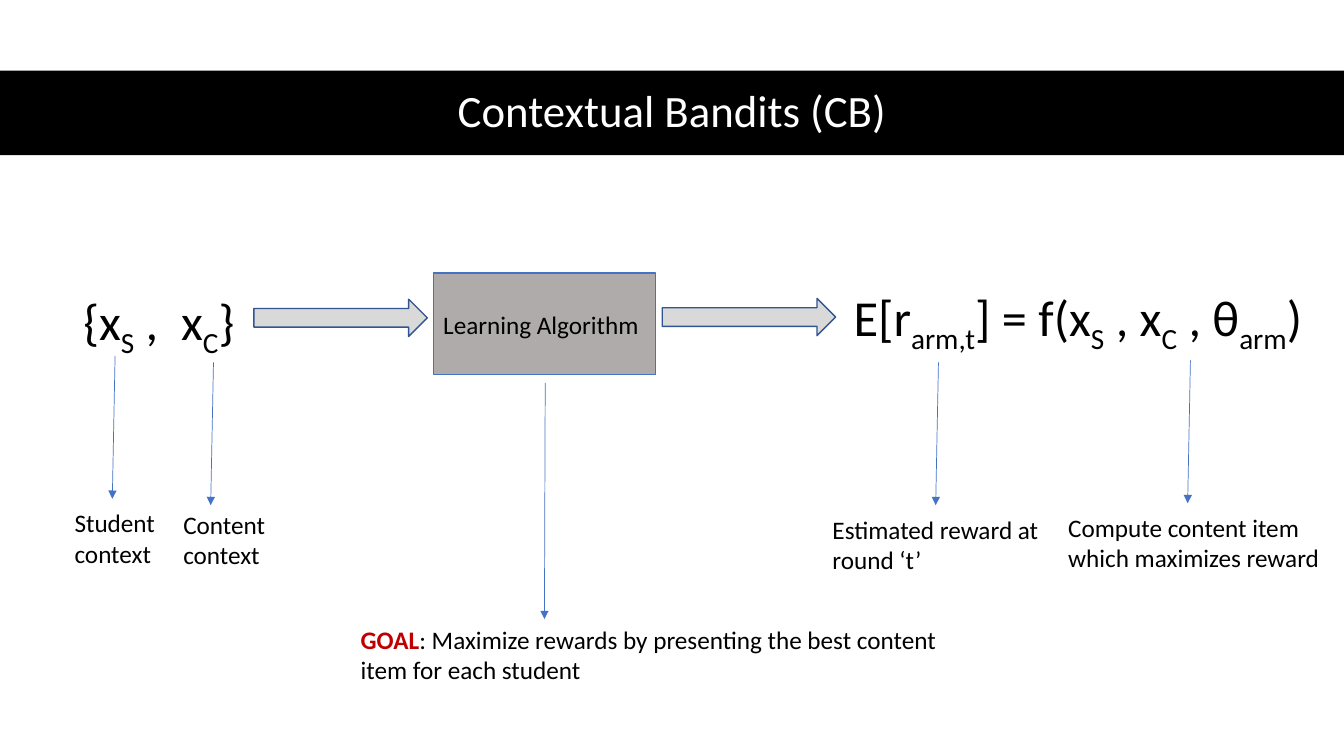
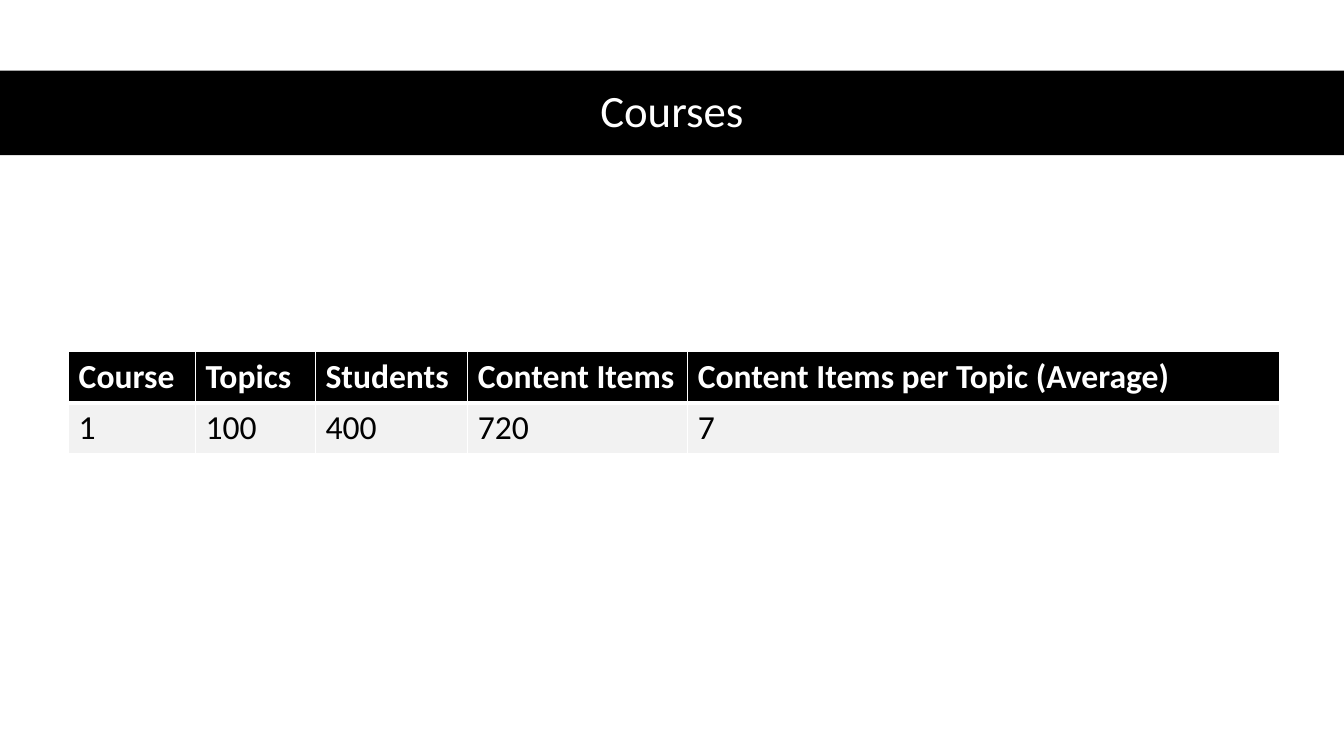
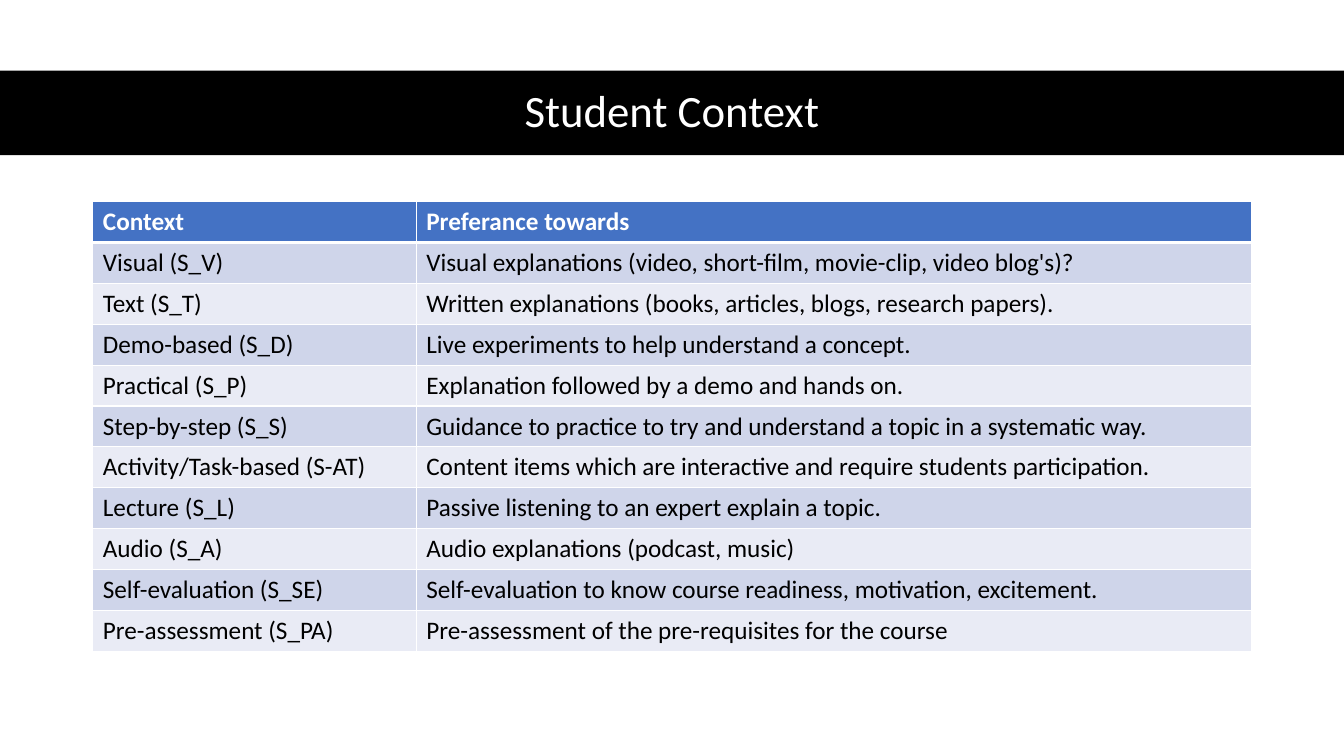
from lxml.etree import SubElement
from pptx import Presentation
from pptx.dml.color import RGBColor
from pptx.enum.shapes import MSO_CONNECTOR as Link, MSO_SHAPE as Kind
from pptx.enum.text import MSO_ANCHOR as Anchor, PP_ALIGN as Align
from pptx.oxml.ns import qn
from pptx.util import Cm, Pt

BLACK = RGBColor(0, 0, 0)
WHITE = RGBColor(255, 255, 255)
BLUE = RGBColor(0x44, 0x72, 0xC4)
NAVY = RGBColor(0x32, 0x54, 0x91)
RED = RGBColor(0xC0, 0, 0)
GREY = RGBColor(0xAF, 0xAB, 0xAB)
SILVER = RGBColor(0xD9, 0xD9, 0xD9)
PALE = RGBColor(0xF2, 0xF2, 0xF2)
BANDS = (RGBColor(0xCF, 0xD5, 0xEA), RGBColor(0xE9, 0xEB, 0xF5))
FONT = "Calibri"
WIDE, HIGH = 33.87, 19.05

COURSES = [
    ("Course", "Topics", "Students", "Content Items", "Content Items per Topic (Average)"),
    ("1", "100", "400", "720", "7"),
]
CONTEXTS = [
    ("Context", "Preferance towards"),
    ("Visual (S_V)", "Visual explanations (video, short-film, movie-clip, video blog's)?"),
    ("Text (S_T)", "Written explanations (books, articles, blogs, research papers)."),
    ("Demo-based (S_D)", "Live experiments to help understand a concept."),
    ("Practical (S_P)", "Explanation followed by a demo and hands on."),
    ("Step-by-step (S_S)", "Guidance to practice to try and understand a topic in a systematic way."),
    ("Activity/Task-based (S-AT)", "Content items which are interactive and require students participation."),
    ("Lecture (S_L)", "Passive listening to an expert explain a topic."),
    ("Audio (S_A)", "Audio explanations (podcast, music)"),
    ("Self-evaluation (S_SE)", "Self-evaluation to know course readiness, motivation, excitement."),
    ("Pre-assessment (S_PA)", "Pre-assessment of the pre-requisites for the course"),
]


def style(para, size, color=BLACK, bold=False):
    """Set the font of a paragraph."""
    font = para.font
    font.name, font.size, font.bold = FONT, Pt(size), bold
    font.color.rgb = color


def block(slide, kind, box, fill, line=None, weight=1):
    """Draw a filled preset shape."""
    shape = slide.shapes.add_shape(kind, *map(Cm, box))
    shape.shadow.inherit = False
    shape.fill.solid()
    shape.fill.fore_color.rgb = fill
    if line is None:
        shape.line.fill.background()
    else:
        shape.line.color.rgb = line
        shape.line.width = Pt(weight)
    return shape


def label(slide, box, size):
    """Add a wrapped text box and return its paragraph."""
    frame = slide.shapes.add_textbox(*map(Cm, box)).text_frame
    frame.word_wrap = True
    para = frame.paragraphs[0]
    style(para, size)
    return para


def formula(slide, box, parts):
    """Write parts that alternate between base line and subscript."""
    para = label(slide, box, 36)
    for i, part in enumerate(parts):
        run = para.add_run()
        run.text = part
        if i % 2:
            run._r.get_or_add_rPr().set("baseline", "-25000")


def arrow(slide, x1, y1, x2, y2):
    """Draw a thin line with a triangle at its end."""
    link = slide.shapes.add_connector(Link.STRAIGHT, Cm(x1), Cm(y1), Cm(x2), Cm(y2))
    link.line.color.rgb = BLUE
    link.line.width = Pt(0.5)
    SubElement(link.line._get_or_add_ln(), qn("a:tailEnd"), type="triangle")
    SubElement(link._element.spPr, qn("a:effectLst"))


def callout(slide, x, y, width, text, shift, gap=0.1, fall=3.6, lean=0.07, lead=""):
    """Write a caption below an arrow that points down to it."""
    tip = y - gap
    arrow(slide, x + shift, tip - fall, x + shift - lean, tip)
    para = label(slide, (x, y, width, 1.8), 18)
    if lead:
        run = para.add_run()
        run.text = lead
        run.font.bold = True
        run.font.color.rgb = RED
    para.add_run().text = text


def title(slide, text):
    """Draw the title band across the slide."""
    band = block(slide, Kind.RECTANGLE, (0, 1.78, WIDE, 2.13), BLACK)
    frame = band.text_frame
    frame.vertical_anchor = Anchor.MIDDLE
    para = frame.paragraphs[0]
    para.text, para.alignment, para.line_spacing = text, Align.CENTER, 0.9
    style(para, 32, WHITE)


def diagram(slide, x, y):
    """Draw the flow from contexts to reward with its captions."""
    formula(slide, (x + 0.22, y + 0.31, 4.7, 1.8), ("{x", "S", " ,  x", "C", "}"))
    formula(slide, (x + 19.63, y + 0.21, 12.6, 1.8),
            ("E[r", "arm,t", "] = f(x", "S", " , x", "C", " , θ", "arm", ")"))
    core = block(slide, Kind.RECTANGLE, (x + 9.29, y, 5.61, 2.57), GREY, BLUE, 0.75)
    core.text_frame.vertical_anchor = Anchor.MIDDLE
    para = core.text_frame.paragraphs[0]
    para.text, para.alignment = "Learning Algorithm", Align.LEFT
    style(para, 18)
    for dx, dy in ((4.77, 0.66), (15.06, 0.64)):
        block(slide, Kind.RIGHT_ARROW, (x + dx, y + dy, 4.37, 0.94), SILVER, NAVY)
    callout(slide, x, y + 5.79, 2.67, "Student context", 1.27)
    callout(slide, x + 2.74, y + 5.82, 2.67, "Content context", 1.01, gap=-0.03)
    callout(slide, x + 19.1, y + 5.95, 6.4, "Estimated reward at round ‘t’", 2.92)
    callout(slide, x + 25.04, y + 5.9, 7.19, "Compute content item which maximizes reward", 3.33)
    callout(slide, x + 7.21, y + 8.72, 16.2,
            ": Maximize rewards by presenting the best content item for each student",
            4.9, gap=0, fall=5.95, lean=0.02, lead="GOAL")


def edge(cell, **sides):
    """Give the named sides of a cell white borders."""
    props = cell._tc.get_or_add_tcPr()
    for side, weight in sides.items():
        line = SubElement(props, qn("a:ln" + side), w=str(Pt(weight)))
        paint = SubElement(line, qn("a:solidFill"))
        SubElement(paint, qn("a:srgbClr"), val=str(WHITE))


def grid(slide, x, y, cols, row, data, size, head, fills):
    """Build a table with a header row and cycling row fills."""
    box = (x, y, sum(cols), row * len(data))
    table = slide.shapes.add_table(len(data), len(cols), *map(Cm, box)).table
    for col, width in zip(table.columns, cols):
        col.width = Cm(width)
    for r, texts in enumerate(data):
        table.rows[r].height = Cm(row)
        for c, text in enumerate(texts):
            cell = table.cell(r, c)
            edge(cell, L=1, R=1, T=3 if r == 1 else 1, B=1 if r else 3)
            cell.fill.solid()
            cell.fill.fore_color.rgb = fills[(r - 1) % len(fills)] if r else head
            para = cell.text_frame.paragraphs[0]
            para.text = text
            style(para, size, BLACK if r else WHITE, not r)


def main():
    """Build and save the three slides."""
    deck = Presentation()
    deck.slide_width, deck.slide_height = Cm(WIDE), Cm(HIGH)
    names = ("Contextual Bandits (CB)", "Courses", "Student Context")
    slides = []
    for name in names:
        slide = deck.slides.add_slide(deck.slide_layouts[6])
        title(slide, name)
        slides.append(slide)
    bandit, course, context = slides
    diagram(bandit, 1.63, 6.88)
    grid(course, 1.73, 8.86, (3.2, 3.02, 3.84, 5.54, 14.91), 1.27, COURSES, 24, BLACK, (PALE,))
    grid(context, 2.34, 5.08, (8.15, 21.06), 1.03, CONTEXTS, 18, BLUE, BANDS)
    deck.save("out.pptx")


if __name__ == "__main__":
    main()
